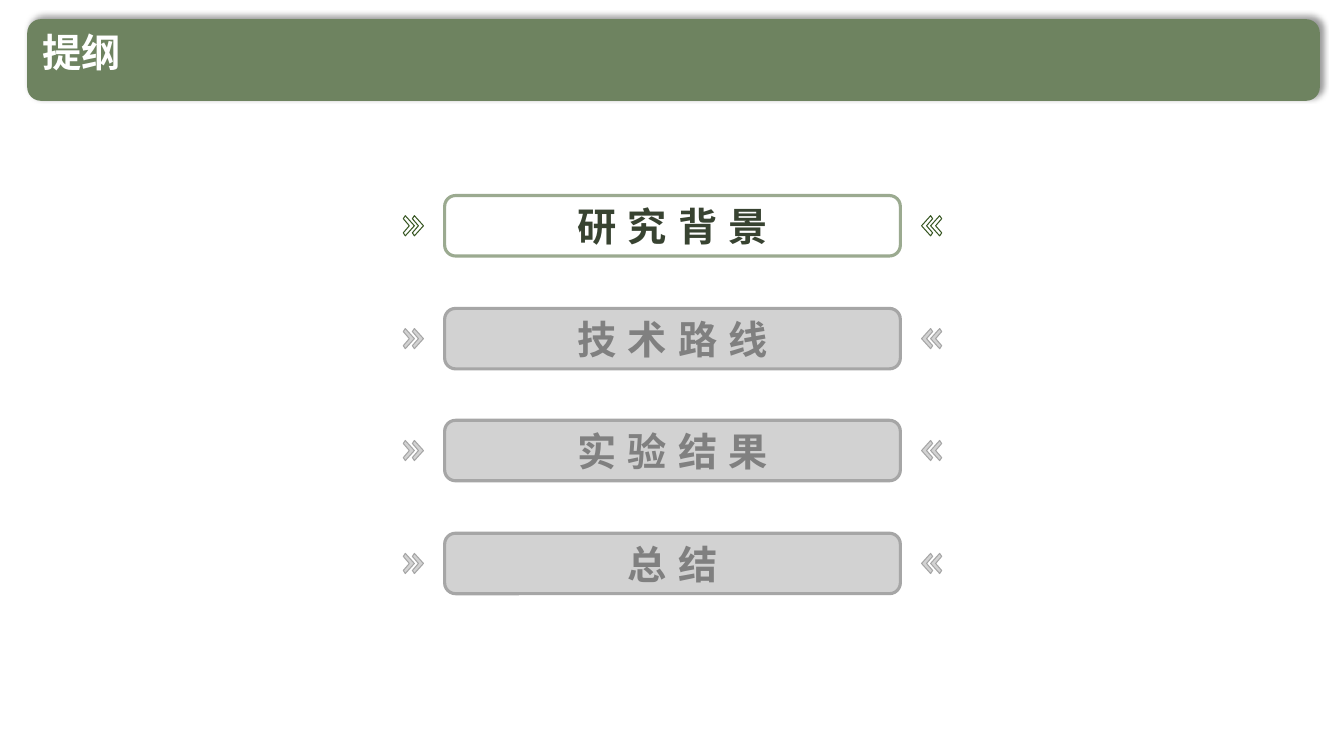
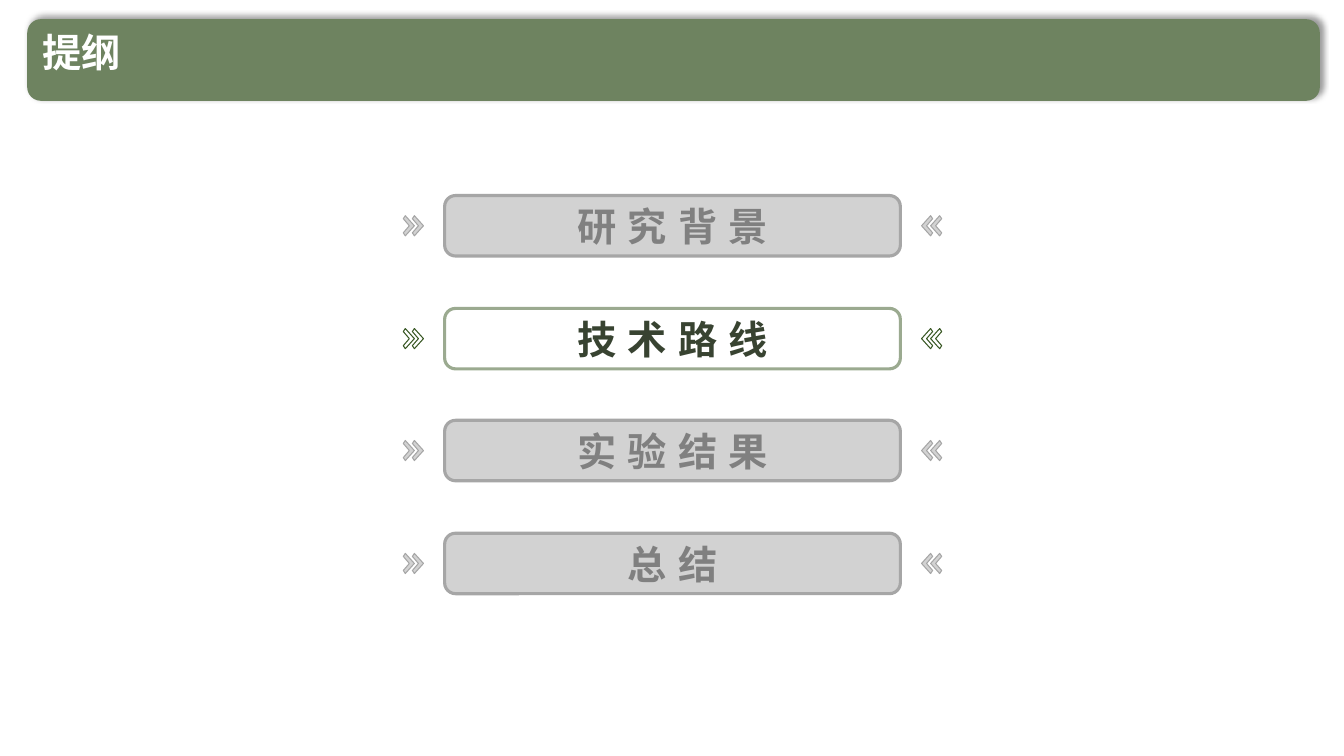
from pptx import Presentation
from pptx.dml.color import RGBColor
from pptx.enum.shapes import MSO_SHAPE
from pptx.enum.text import MSO_ANCHOR, MSO_AUTO_SIZE, PP_ALIGN
from pptx.oxml.ns import qn
from pptx.util import Pt
from lxml.etree import SubElement

PX = 9144
FONT = "Noto Sans CJK SC"
WHITE = RGBColor(0xFF, 0xFF, 0xFF)
BLACK = RGBColor(0x00, 0x00, 0x00)
BAND = RGBColor(0x6E, 0x83, 0x60)
SAGE = RGBColor(0x9B, 0xAA, 0x90)
FOREST = RGBColor(0x38, 0x57, 0x23)
MOSS = RGBColor(0x38, 0x43, 0x31)
SILVER = RGBColor(0xA6, 0xA6, 0xA6)
GRAY = RGBColor(0x80, 0x80, 0x80)

TITLE = "提纲"
SECTIONS = ["研究背景", "技术路线", "实验结果", "总结"]
CHEVRON = [(2, 0), (0, 3), (6, 10), (0, 17), (2, 20), (11, 10)]


def write(tf, text, size=28, color=WHITE, bold=True, align=PP_ALIGN.LEFT,
          anchor=MSO_ANCHOR.TOP, spacing=0, line_spacing=1.0):
    tf.word_wrap = True
    tf.auto_size = MSO_AUTO_SIZE.NONE
    tf.vertical_anchor = anchor
    p = tf.paragraphs[0]
    p.alignment = align
    p.line_spacing = line_spacing
    r = p.add_run()
    r.text = text
    r.font.size = Pt(size)
    r.font.bold = bold
    r.font.name = FONT
    r.font.color.rgb = color
    rPr = r.font._element
    SubElement(rPr, qn("a:ea"), typeface=FONT)
    if spacing:
        rPr.set("spc", str(spacing * 100))


def place(sp, x, y, w, h):
    sp.left, sp.top, sp.width, sp.height = (v * PX for v in (x, y, w, h))


def paint(sp, line, width, active):
    sp.shadow.inherit = False
    sp.line.color.rgb = line
    sp.line.width = Pt(width)
    if active:
        sp.fill.background()
        return
    sp.fill.solid()
    sp.fill.fore_color.rgb = SILVER
    clr = sp._element.spPr.find(qn("a:solidFill")).find(qn("a:srgbClr"))
    SubElement(clr, qn("a:alpha"), val="50000")


def add_header(layout, s, x, y, w, h):
    band = s.shapes.add_shape(MSO_SHAPE.ROUNDED_RECTANGLE, x * PX, y * PX, w * PX, h * PX)
    band.fill.solid()
    band.fill.fore_color.rgb = BAND
    band.line.fill.background()
    band.shadow.inherit = False
    effects = band._element.spPr.find(qn("a:effectLst"))
    shadow = SubElement(effects, qn("a:outerShdw"), blurRad=str(Pt(4)), dist=str(Pt(3)),
                        dir=str(315 * 60000), algn="bl", rotWithShape="0")
    clr = SubElement(shadow, qn("a:srgbClr"), val=str(BLACK))
    SubElement(clr, qn("a:alpha"), val="40000")
    layout.shapes.element.insert(2, band._element)
    place(layout.placeholders[0], x + 5, y + 9, w - 175, h - 19)


def add_chevron(shapes, x, y, direction, active):
    pts = [((x + direction * dx) * PX, (y + dy) * PX) for dx, dy in CHEVRON]
    fb = shapes.build_freeform(*pts[0], scale=1.0)
    fb.add_line_segments(pts[1:], close=True)
    paint(fb.convert_to_shape(), FOREST if active else SILVER, 0.75, active)


def add_section(s, text, x, y, w, h, active):
    shapes = s.shapes.add_group_shape().shapes
    for gap in (41, 32):
        add_chevron(shapes, x - gap, y + h // 2 - 10, 1, active)
        add_chevron(shapes, x + w + gap, y + h // 2 - 10, -1, active)
    sp = shapes.add_shape(MSO_SHAPE.ROUNDED_RECTANGLE, x * PX, y * PX, w * PX, h * PX)
    sp.adjustments[0] = 0.18
    paint(sp, SAGE if active else SILVER, 2.25, active)
    tf = sp.text_frame
    tf.margin_top = tf.margin_bottom = 0
    write(tf, text, color=MOSS if active else GRAY, align=PP_ALIGN.CENTER,
          anchor=MSO_ANCHOR.MIDDLE, spacing=8)


def add_outline(s, current, x, y, w, h):
    box_h = 60
    pitch = (h - box_h) / (len(SECTIONS) - 1)
    write(s.shapes.title.text_frame, TITLE, line_spacing=0.9)
    for i, text in enumerate(SECTIONS):
        add_section(s, text, x, y + round(i * pitch), w, box_h, i == current)


def main():
    prs = Presentation()
    prs.slide_width, prs.slide_height = 1333 * PX, 750 * PX
    layout = prs.slide_layouts[5]
    slides = [prs.slides.add_slide(layout) for _ in range(2)]
    add_header(layout, slides[0], 27, 19, 1282, 81)
    for current, s in enumerate(slides):
        add_outline(s, current, 441, 194, 452, 395)
    prs.save("out.pptx")


if __name__ == "__main__":
    main()
